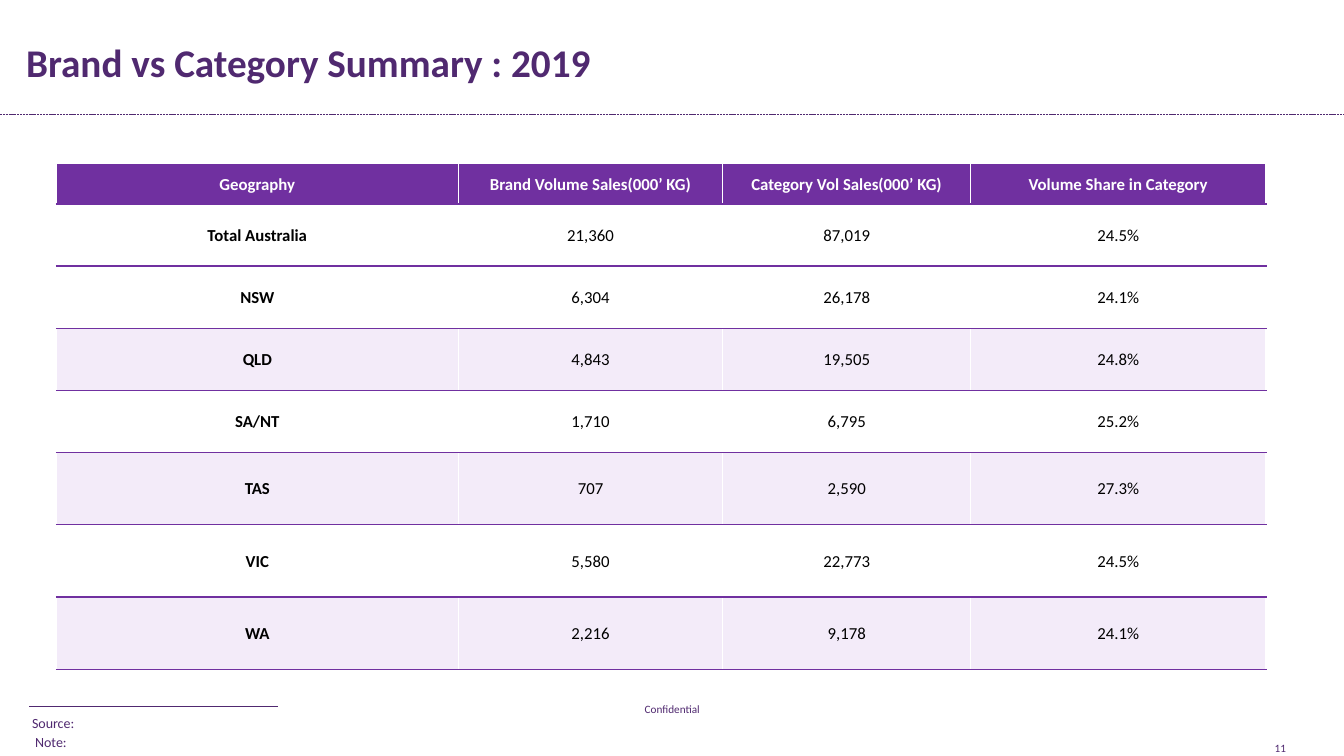
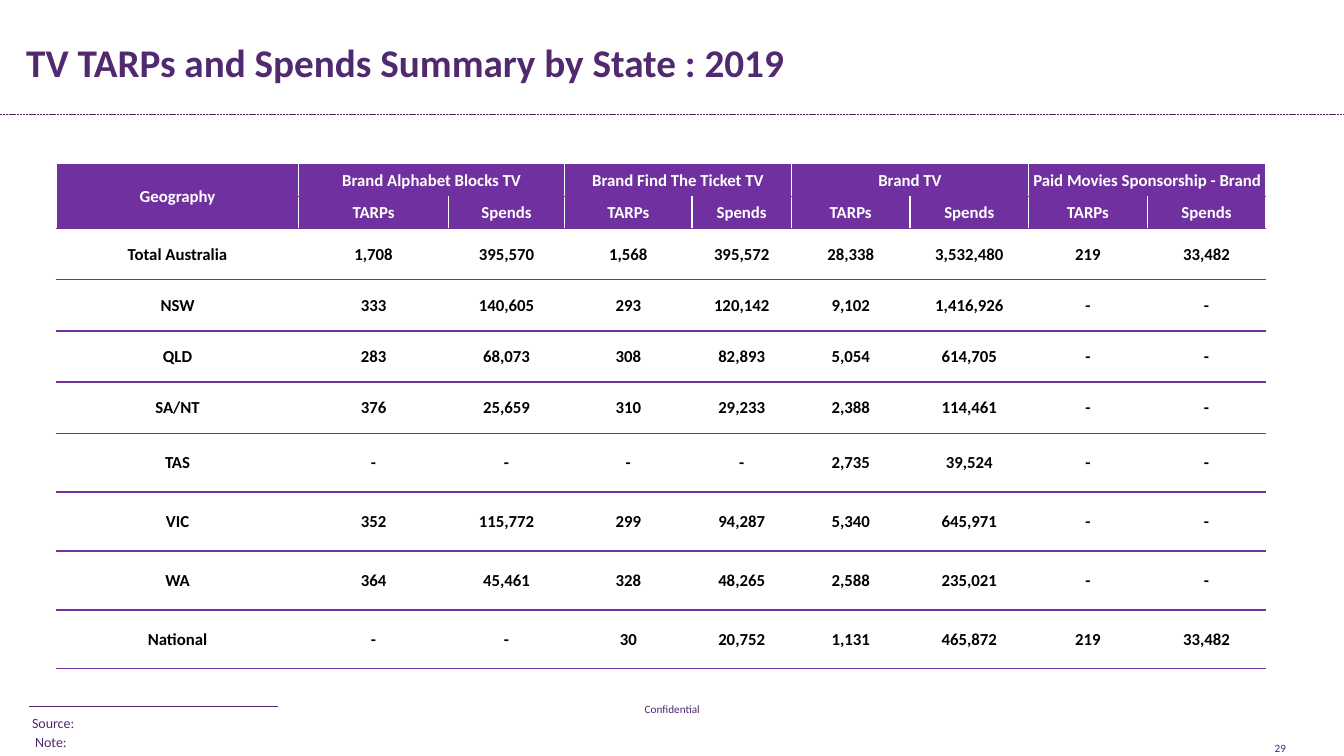
from dataclasses import dataclass

from lxml import etree
from pptx import Presentation
from pptx.dml.color import RGBColor
from pptx.enum import dml, shapes, text
from pptx.oxml import ns
from pptx.util import Pt


@dataclass(frozen=True)
class Theme:
    font: str = "Calibri"
    ink: str = "502970"
    purple: str = "7030A0"
    band: str = "F3EBF9"
    white: str = "FFFFFF"
    black: str = "000000"
    title_size: int = 28
    table_size: int = 12
    note_size: int = 10
    footer_size: int = 8


THEME = Theme()
CENTER = text.PP_ALIGN.CENTER
MIDDLE = text.MSO_ANCHOR.MIDDLE


def write(frame, content, size, color=THEME.ink, bold=False, align=text.PP_ALIGN.LEFT):
    paragraph = frame.paragraphs[0]
    paragraph.alignment = align
    run = paragraph.add_run()
    run.text = content
    run.font.name = THEME.font
    run.font.size = Pt(size)
    run.font.bold = bold
    run.font.color.rgb = RGBColor.from_string(color)


def set_borders(cell):
    """White lines between columns, purple lines between rows."""
    properties = cell._tc.get_or_add_tcPr()
    for side, color in zip("LRTB", [THEME.white] * 2 + [THEME.purple] * 2):
        line = etree.SubElement(properties, ns.qn(f"a:ln{side}"), w=str(Pt(1)))
        fill = etree.SubElement(line, ns.qn("a:solidFill"))
        etree.SubElement(fill, ns.qn("a:srgbClr"), val=color)


class Deck:
    def __init__(self):
        self.presentation = Presentation()
        self.presentation.slide_width = Pt(960)
        self.presentation.slide_height = Pt(540)
        self.slide = None

    def add_slide(self, title, number):
        layout = self.presentation.slide_layouts[5]
        self.slide = self.presentation.slides.add_slide(layout)
        self.title(title)
        # Rules and footer shared by every slide
        self.line(0, 960, 82, dash=dml.MSO_LINE.SQUARE_DOT)
        self.line(21, 198.5, 504.6)
        self.label(number, 891.5, 520, 46, 29)
        self.label("Confidential", 379.5, 492, 201.5, 29)
        self.note("Source:", 15.8, 507, 49)
        self.note("Note:", 18, 520.6, 38)

    def title(self, content):
        shape = self.slide.shapes.title
        shape.left, shape.top, shape.width, shape.height = map(Pt, (11.5, 13, 864, 62))
        frame = shape.text_frame
        frame.auto_size = text.MSO_AUTO_SIZE.NONE
        frame.vertical_anchor = MIDDLE
        write(frame, content, THEME.title_size, bold=True)

    def line(self, left, right, top, dash=None):
        connector = self.slide.shapes.add_connector(
            shapes.MSO_CONNECTOR.STRAIGHT, Pt(left), Pt(top), Pt(right), Pt(top))
        connector.line.color.rgb = RGBColor.from_string(THEME.ink)
        connector.line.width = Pt(0.5)
        if dash:
            connector.line.dash_style = dash
        etree.SubElement(connector._element.spPr, ns.qn("a:effectLst"))

    def text_frame(self, left, top, width, height):
        return self.slide.shapes.add_textbox(*map(Pt, (left, top, width, height))).text_frame

    def label(self, content, left, top, width, height):
        frame = self.text_frame(left, top, width, height)
        frame.word_wrap = True
        frame.vertical_anchor = MIDDLE
        write(frame, content, THEME.footer_size, align=CENTER)

    def note(self, content, left, top, width):
        frame = self.text_frame(left, top, width, 19.4)
        frame.word_wrap = False
        frame.auto_size = text.MSO_AUTO_SIZE.SHAPE_TO_FIT_TEXT
        write(frame, content, THEME.note_size)

    def table(self, rows, widths, heights, header_rows=1, banded=(), bold_values=False):
        frame = self.slide.shapes.add_table(
            len(rows), len(widths), Pt(40.35), Pt(117.3), Pt(sum(widths)), Pt(sum(heights)))
        table = frame.table
        table.horz_banding = False
        for column, width in zip(table.columns, widths):
            column.width = Pt(width)
        for row, height in zip(table.rows, heights):
            row.height = Pt(height)
        for row_index, values in enumerate(rows):
            header = row_index < header_rows
            fill = THEME.purple if header else THEME.band if values[0] in banded else None
            for column_index, value in enumerate(values):
                self.cell(table.cell(row_index, column_index), value, fill,
                          color=THEME.white if header else THEME.black,
                          bold=header or bold_values or column_index == 0)
        return table

    def cell(self, cell, value, fill, **font):
        cell.margin_left = cell.margin_right = cell.margin_top = Pt(0.72)
        cell.margin_bottom = 0
        cell.vertical_anchor = MIDDLE
        set_borders(cell)
        if fill:
            cell.fill.solid()
            cell.fill.fore_color.rgb = RGBColor.from_string(fill)
        else:
            cell.fill.background()
        if value:
            write(cell.text_frame, value, THEME.table_size, align=CENTER, **font)


def add_category_summary(deck):
    deck.add_slide("Brand vs Category Summary : 2019", "11")
    rows = [
        ["Geography", "Brand Volume Sales(000’ KG)", "Category Vol Sales(000’ KG)",
         "Volume Share in Category"],
        ["Total Australia", "21,360", "87,019", "24.5%"],
        ["NSW", "6,304", "26,178", "24.1%"],
        ["QLD", "4,843", "19,505", "24.8%"],
        ["SA/NT", "1,710", "6,795", "25.2%"],
        ["TAS", "707", "2,590", "27.3%"],
        ["VIC", "5,580", "22,773", "24.5%"],
        ["WA", "2,216", "9,178", "24.1%"],
    ]
    deck.table(rows, widths=[287, 189, 177, 211],
               heights=[28.4] + [44.4] * 4 + [51.6] * 3, banded=("QLD", "TAS", "WA"))


def add_tv_summary(deck):
    deck.add_slide("TV TARPs and Spends Summary by State : 2019", "29")
    campaigns = ["Brand Alphabet Blocks TV", "Brand Find The Ticket TV", "Brand TV",
                 "Paid Movies Sponsorship - Brand"]
    campaign_row = ["Geography"]
    for campaign in campaigns:
        campaign_row += [campaign, ""]
    rows = [
        campaign_row,
        [""] + ["TARPs", "Spends"] * len(campaigns),
        ["Total Australia", "1,708", "395,570", "1,568", "395,572", "28,338", "3,532,480",
         "219", "33,482"],
        ["NSW", "333", "140,605", "293", "120,142", "9,102", "1,416,926", "-", "-"],
        ["QLD", "283", "68,073", "308", "82,893", "5,054", "614,705", "-", "-"],
        ["SA/NT", "376", "25,659", "310", "29,233", "2,388", "114,461", "-", "-"],
        ["TAS", "-", "-", "-", "-", "2,735", "39,524", "-", "-"],
        ["VIC", "352", "115,772", "299", "94,287", "5,340", "645,971", "-", "-"],
        ["WA", "364", "45,461", "328", "48,265", "2,588", "235,021", "-", "-"],
        ["National", "-", "-", "30", "20,752", "1,131", "465,872", "219", "33,482"],
    ]
    table = deck.table(rows, widths=[173, 107, 83, 91, 71] + [84.75] * 4,
                       heights=[23.1] * 2 + [36.5] * 4 + [42.1] * 4,
                       header_rows=2, bold_values=True)
    # Two-level header
    table.cell(0, 0).merge(table.cell(1, 0))
    for column in range(1, len(campaign_row), 2):
        table.cell(0, column).merge(table.cell(0, column + 1))


def main():
    deck = Deck()
    add_category_summary(deck)
    add_tv_summary(deck)
    deck.presentation.save("out.pptx")


if __name__ == "__main__":
    main()
